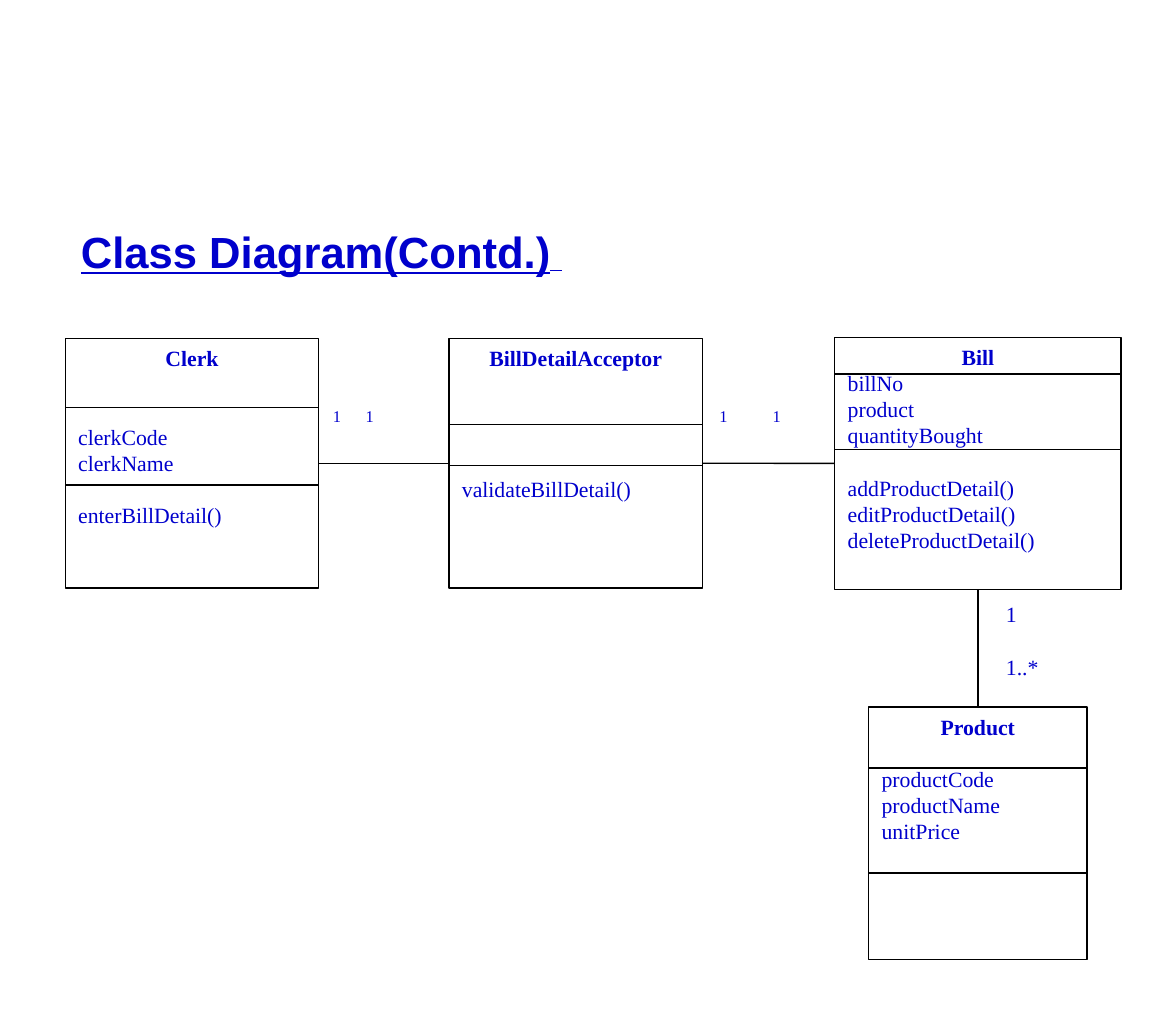
import pptx
import pptx.util
import pptx.dml.color
import pptx.enum.shapes
import pptx.enum.text
import pptx.oxml.ns
from lxml import etree

Pt = pptx.util.Pt
COLORS = {"text": "0000CC", "line": "000000", "box": "FFFFFF"}
SERIF = "Times New Roman"
LINE = 14.4  # line pitch of the 12 pt text

# name: left, top, width, height, divider offsets, members as (blank lines before, text)
CLASSES = {
    "Clerk": (36, 186.5, 139.7, 137.5, (38, 80.8),
              [(2, "clerkCode"), (0, "clerkName"), (1, "enterBillDetail()")]),
    "BillDetailAcceptor": (247.5, 186.5, 139.7, 137.5, (47.5, 70),
                           [(4, "validateBillDetail()")]),
    "Bill": (460, 185.8, 157.7, 139, (20.2, 62),
             [(0, "billNo"), (0, "product"), (0, "quantityBought"),
              (1, "addProductDetail()"), (0, "editProductDetail()"),
              (0, "deleteProductDetail()")]),
    "Product": (478.75, 389.5, 120.2, 139, (33.7, 91.5),
                [(1, "productCode"), (0, "productName"), (0, "unitPrice")]),
}


def rgb(name):
    return pptx.dml.color.RGBColor.from_string(COLORS[name])


def add_run(p, text, size=12, font=SERIF, bold=False, underline=False):
    r = p.add_run()
    r.text = text
    r.font.size = Pt(size)
    r.font.name = font
    r.font.bold = bold
    r.font.underline = underline
    r.font.color.rgb = rgb("text")


def set_frame(tf, inset=7.2):
    tf.word_wrap = True
    tf.vertical_anchor = pptx.enum.text.MSO_ANCHOR.TOP
    tf.margin_left = Pt(inset)
    tf.margin_right = Pt(7.2)
    tf.margin_top = tf.margin_bottom = Pt(3.6)


def add_text_box(s, x, y, w, h, inset=7.2):
    tf = s.shapes.add_textbox(Pt(x), Pt(y), Pt(w), Pt(h)).text_frame
    set_frame(tf, inset)
    return tf


def add_line(s, x1, y1, x2, y2):
    c = s.shapes.add_connector(pptx.enum.shapes.MSO_CONNECTOR.STRAIGHT,
                               Pt(x1), Pt(y1), Pt(x2), Pt(y2))
    c.line.color.rgb = rgb("line")
    c.line.width = Pt(0.75)
    etree.SubElement(c._element.spPr, pptx.oxml.ns.qn("a:effectLst"))
    return c


def add_class(s, name, x, y, w, h, dividers, members):
    sp = s.shapes.add_shape(pptx.enum.shapes.MSO_SHAPE.RECTANGLE,
                            Pt(x), Pt(y), Pt(w), Pt(h))
    sp.shadow.inherit = False
    sp.fill.solid()
    sp.fill.fore_color.rgb = rgb("box")
    sp.line.color.rgb = rgb("line")
    sp.line.width = Pt(0.75)
    tf = sp.text_frame
    set_frame(tf)
    p = tf.paragraphs[0]
    p.alignment = pptx.enum.text.PP_ALIGN.CENTER
    p.line_spacing = Pt(LINE)
    add_run(p, name, bold=True)
    for blanks, member in members:
        p = tf.add_paragraph()
        p.alignment = pptx.enum.text.PP_ALIGN.LEFT
        p.line_spacing = Pt(LINE)
        p.space_before = Pt(blanks * LINE)
        add_run(p, member)
    for dy in dividers:
        add_line(s, x, y + dy, x + w, y + dy)
    return sp


def join(s, start, start_site, end, end_site):
    c = add_line(s, 0, 0, 0, 0)
    c.begin_connect(start, start_site)
    c.end_connect(end, end_site)


def add_end_counts(s, x, w, inset, gap):
    """Two multiplicities on one line, the second at a tab stop."""
    p = add_text_box(s, x, 220.3, w, 22.3, inset).paragraphs[0]
    tabs = etree.SubElement(p._p.get_or_add_pPr(), pptx.oxml.ns.qn("a:tabLst"))
    etree.SubElement(tabs, pptx.oxml.ns.qn("a:tab"), pos=str(Pt(gap)), algn="l")
    add_run(p, "1\t1", size=9)


def main():
    prs = pptx.Presentation()
    prs.slide_width, prs.slide_height = Pt(648), Pt(568)
    s = prs.slides.add_slide(prs.slide_layouts[6])

    # Title
    p = add_text_box(s, 37.5, 120.2, 572.4, 403.9).paragraphs[0]
    add_run(p, "Class Diagram(Contd.)", 24, "Arial", True, True)
    add_run(p, " ", 24, "League Spartan", True, True)

    # Classes
    boxes = {name: add_class(s, name, *data) for name, data in CLASSES.items()}

    # Associations
    join(s, boxes["Clerk"], 3, boxes["BillDetailAcceptor"], 1)
    join(s, boxes["BillDetailAcceptor"], 3, boxes["Bill"], 1)
    join(s, boxes["Bill"], 2, boxes["Product"], 0)

    # Multiplicities
    add_end_counts(s, 176.4, 58.3, 7.2, 18)
    add_end_counts(s, 378, 81.4, 18.45, 29.25)
    tf = add_text_box(s, 547.2, 327.6, 58.3, 59.8)
    add_run(tf.paragraphs[0], "1")
    p = tf.add_paragraph()
    p.space_before = Pt(LINE)
    add_run(p, "1..*")

    prs.save("out.pptx")


if __name__ == "__main__":
    main()
